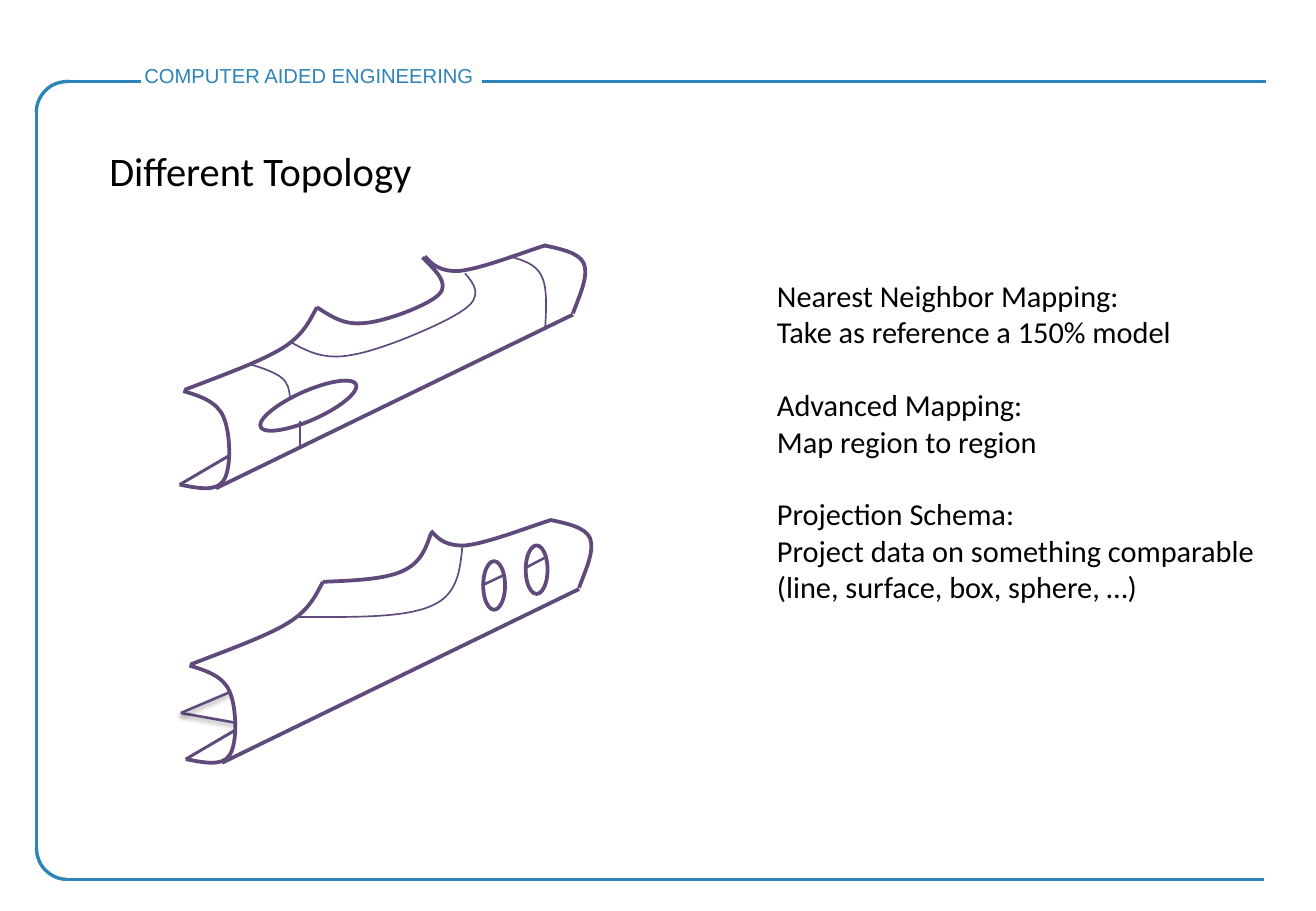
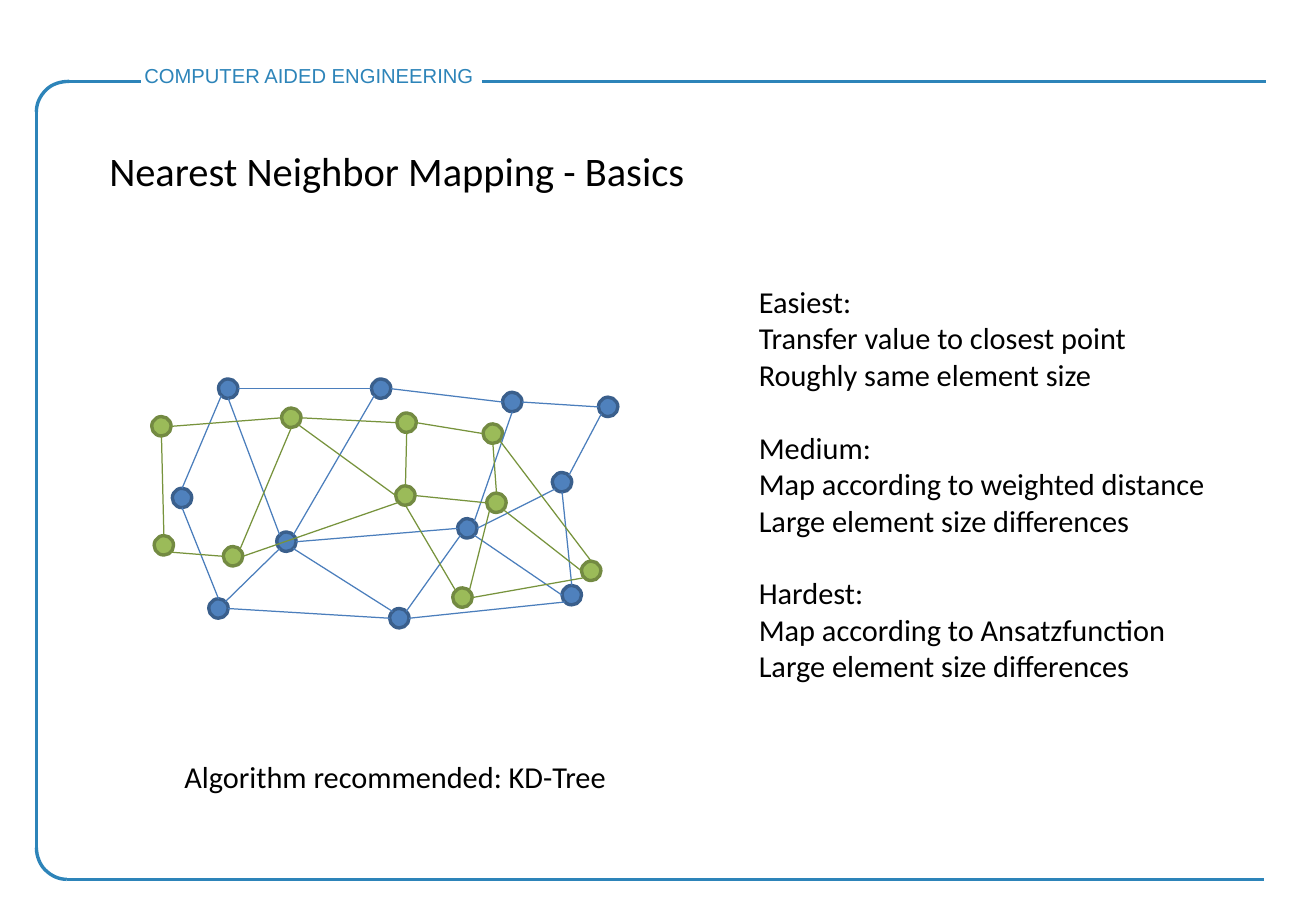
from lxml import etree
from pptx import Presentation
from pptx.dml.color import RGBColor
from pptx.enum.shapes import MSO_CONNECTOR, MSO_SHAPE
from pptx.enum.text import MSO_ANCHOR, MSO_AUTO_SIZE, PP_ALIGN
from pptx.oxml import parse_xml
from pptx.oxml.ns import nsdecls, qn
from pptx.util import Inches, Pt

# All positions are columns and rows of a grid with cells of 0.01 inch.
CELL = Inches(0.01)
COLUMNS, ROWS = 1084, 750
FRAME, BEAM, TEXT = "2D84B9", "604A7B", "000000"
rgb = RGBColor.from_string


def outline(shape, ink, width, fill=None):
    """Give a shape a plain line, an optional fill and no shadow."""
    shape.shadow.inherit = False
    shape.line.color.rgb = rgb(ink)
    shape.line.width = Pt(width)
    if fill:
        shape.fill.solid()
        shape.fill.fore_color.rgb = rgb(fill)
    else:
        shape.fill.background()


def write(box, place, groups, size, font="Calibri", ink=TEXT):
    """Place a box and fill it with groups of lines, one blank line's height apart."""
    box.left, box.top, box.width, box.height = (cells * CELL for cells in place)
    frame = box.text_frame
    for name, value in {"word_wrap": False, "auto_size": MSO_AUTO_SIZE.NONE,
                        "vertical_anchor": MSO_ANCHOR.TOP}.items():
        setattr(frame, name, value)
    first = True
    for group in groups:
        for number, line in enumerate(group):
            para = frame.paragraphs[0] if first else frame.add_paragraph()
            para.text = line
            gap = Pt(size * 1.2) if number == 0 and not first else Pt(0)
            first = False
            props = para._p.get_or_add_pPr()
            props.set("marL", "0")
            props.set("indent", "0")
            etree.SubElement(props, qn("a:buNone"))
            for name, value in {"alignment": PP_ALIGN.LEFT, "space_before": gap,
                                "space_after": Pt(0), "line_spacing": 1.0}.items():
                setattr(para, name, value)
            for span in para.runs:
                for name, value in {"size": Pt(size), "name": font}.items():
                    setattr(span.font, name, value)
                span.font.color.rgb = rgb(ink)


deck = Presentation()
deck.slide_width, deck.slide_height = COLUMNS * CELL, ROWS * CELL
layout = deck.slide_layouts[1]

# Titles and lists
contents = [
    ("Different Topology", (80, 115, 272, 50), (630, 223, 418, 283), [
        ["Nearest Neighbor Mapping:", "Take as reference a 150% model"],
        ["Advanced Mapping:", "Map region to region"],
        ["Projection Schema:",
         "Project data on something comparable\v(line, surface, box, sphere, …)"]]),
    ("Nearest Neighbor Mapping - Basics", (80, 115, 498, 50), (615, 228, 392, 343), [
        ["Easiest:", "Transfer value to closest point", "Roughly same element size"],
        ["Medium:", "Map according to weighted distance", "Large element size differences"],
        ["Hardest:", "Map according to Ansatzfunction", "Large element size differences"]]),
]
pages = []
for title, title_place, list_place, groups in contents:
    page = deck.slides.add_slide(layout)
    write(page.shapes.title, title_place, [[title]], 24)
    write(page.placeholders[1], list_place, groups, 18)
    pages.append(page)
topology, basics = pages

caption = basics.shapes.add_textbox(0, 0, 0, 0)
write(caption, (142, 619, 372, 40), [["Algorithm recommended: KD-Tree"]], 18)

# Strokes: a start, then line segments (x, y) or Bezier segments (two controls and an end)
shared_strokes = [
    [(151, 322), (165, 326, 179, 331, 184, 343), (190, 356, 191, 386, 184, 396),
     (178, 405, 163, 402, 148, 399)],
    [(178, 402), (291, 347), (472, 259)],
    [(448, 202), (462, 205, 477, 208, 481, 217), (485, 227, 478, 242, 472, 258)],
    [(152, 321), (183, 309, 214, 298, 232, 287), (250, 276, 255, 264, 261, 253)],
    [(350, 211), (356, 218, 363, 224, 379, 223), (396, 221, 422, 211, 449, 202)],
]
beam_shifts = [(0, 0), (5, 226)]
strokes = []
straights = []
for right, down in beam_shifts:
    for stroke in shared_strokes:
        shifted = [tuple(value + (down if index % 2 else right)
                         for index, value in enumerate(segment)) for segment in stroke]
        strokes.append((BEAM, 2.25, shifted))
    straights.append((topology, BEAM, 1.75,
                      (148 + right, 399 + down, 189 + right, 375 + down), False))

strokes += [
    (BEAM, 2.25, [(348, 212), (359, 223, 370, 233, 362, 242), (354, 251, 317, 265, 300, 266),
                  (283, 268, 272, 260, 261, 253)]),
    (BEAM, 1, [(240, 282), (253, 289, 267, 297, 291, 292), (315, 288, 367, 266, 382, 255),
               (398, 244, 391, 234, 383, 225)]),
    (BEAM, 1, [(206, 300), (217, 303, 227, 307, 232, 311), (238, 316, 238, 321, 239, 327)]),
    (BEAM, 1, [(419, 211), (430, 214, 441, 217, 446, 227), (451, 237, 450, 254, 449, 271)]),
    (BEAM, 2.25, [(266, 479), (292, 478, 317, 477, 332, 470), (347, 463, 351, 451, 355, 439)]),
    (BEAM, 1, [(245, 508), (289, 508, 332, 509, 355, 499), (377, 490, 379, 470, 381, 449)]),
    (FRAME, 2, [(57, 67), (50, 67, 43, 69, 38, 74), (33, 79, 30, 85, 30, 92)]),
    (FRAME, 2, [(55, 724), (48, 724, 42, 721, 37, 716), (33, 712, 30, 705, 30, 698)]),
]
straights += [
    (topology, BEAM, 1, (247, 347, 247, 367), False),
    (topology, BEAM, 1.5, (194, 595, 149, 587), True),
    (topology, BEAM, 1.5, (149, 587, 189, 570), True),
    (topology, BEAM, 1.5, (432, 468, 451, 458), False),
    (topology, BEAM, 1.5, (397, 482, 416, 473), False),
]

# Holes in the beams
for left, top, width, height, turn in [(211, 322, 86, 24, 336), (387, 473, 40, 18, 90),
                                       (422, 460, 40, 18, 90)]:
    hole = topology.shapes.add_shape(MSO_SHAPE.OVAL, left * CELL, top * CELL,
                                     width * CELL, height * CELL)
    hole.rotation = turn
    outline(hole, BEAM, 2.25)

# Meshes: nodes by centre, edges as node, side, node, side
RADIUS = 8
DIAGONAL = RADIUS * 0.7
sides = {"n": (0, -RADIUS), "s": (0, RADIUS), "w": (-RADIUS, 0), "e": (RADIUS, 0),
         "nw": (-DIAGONAL, -DIAGONAL), "ne": (DIAGONAL, -DIAGONAL),
         "sw": (-DIAGONAL, DIAGONAL), "se": (DIAGONAL, DIAGONAL)}
meshes = [
    ("4F81BD", "3A5F8C", "4B7EBC",
     {"A": (188, 320), "B": (236, 446), "C": (314, 320), "D": (385, 435), "E": (422, 331),
      "F": (329, 509), "G": (471, 490), "H": (463, 397), "I": (501, 335), "J": (180, 501),
      "K": (150, 410)},
     ["A s B nw", "A e C w", "B ne C sw", "B e D w", "D ne E s", "C e E w", "E e I w",
      "H ne I sw", "D e H sw", "G n H s", "D se G w", "F ne D sw", "F nw B se", "F e G sw",
      "K s J n", "A sw K n", "B sw J ne", "J e F w"]),
    ("9BBB59", "738A42", "77933C",
     {"A": (334, 408), "B": (240, 344), "C": (133, 351), "D": (135, 449), "E": (192, 458),
      "F": (335, 348), "G": (406, 357), "H": (409, 414), "I": (381, 492), "J": (487, 470)},
     ["C e B w", "B e F w", "C s D n", "D se E w", "B s E ne", "A sw E e", "A n F s",
      "B se A w", "F e G w", "A e H w", "I nw A s", "I ne H sw", "H n G s", "J n G se",
      "J w H se", "J sw I e"]),
]
for fill, rim, edge_ink, nodes, edges in meshes:
    for x, y in nodes.values():
        node = basics.shapes.add_shape(MSO_SHAPE.OVAL, (x - RADIUS) * CELL, (y - RADIUS) * CELL,
                                       2 * RADIUS * CELL, 2 * RADIUS * CELL)
        outline(node, rim, 2, fill)
    for edge in edges:
        start, start_side, end, end_side = edge.split()
        ends = [centre + offset
                for name, side in ((start, start_side), (end, end_side))
                for centre, offset in zip(nodes[name], sides[side])]
        straights.append((basics, edge_ink, 0.75, ends, False))

# Draw curved strokes, then straight lines, and gather the frame for the layout
frame_parts = []
for ink, width, (start, *segments) in strokes:
    builder = topology.shapes.build_freeform(*start, scale=CELL)
    for segment in segments:
        builder.add_line_segments(list(zip(segment[::2], segment[1::2])), close=False)
    curve = builder.convert_to_shape()
    steps = iter(curve.element.findall(".//" + qn("a:lnTo")))
    for segment in segments:
        step = next(steps)
        if len(segment) == 6:
            bend = etree.Element(qn("a:cubicBezTo"))
            step.addprevious(bend)
            for corner in (step, next(steps), next(steps)):
                bend.append(corner[0])
                corner.getparent().remove(corner)
    outline(curve, ink, width)
    if ink == FRAME:
        frame_parts.append(curve)

straights += [(topology, FRAME, 2, ends, False) for ends in
              [(30, 91, 30, 699), (55, 724, 1041, 724), (116, 67, 57, 67), (397, 67, 1043, 67)]]
SHADOW = (f'<a:outerShdw {nsdecls("a")} blurRad="39370" dist="20320" dir="5400000" '
          'rotWithShape="0"><a:srgbClr val="000000"><a:alpha val="38000"/></a:srgbClr>'
          '</a:outerShdw>')
for page, ink, width, ends, shaded in straights:
    line = page.shapes.add_connector(MSO_CONNECTOR.STRAIGHT,
                                     *(round(value * CELL) for value in ends))
    line.line.color.rgb = rgb(ink)
    line.line.width = Pt(width)
    effects = etree.SubElement(line.element.spPr, qn("a:effectLst"))
    if shaded:
        effects.append(parse_xml(SHADOW))
    if ink == FRAME:
        frame_parts.append(line)

label = topology.shapes.add_textbox(0, 0, 0, 0)
write(label, (109, 47, 299, 30), [["COMPUTER AIDED ENGINEERING"]], 12, "Arial", FRAME)
for part in frame_parts + [label]:
    layout.shapes.element.append(part.element)

deck.save("out.pptx")
